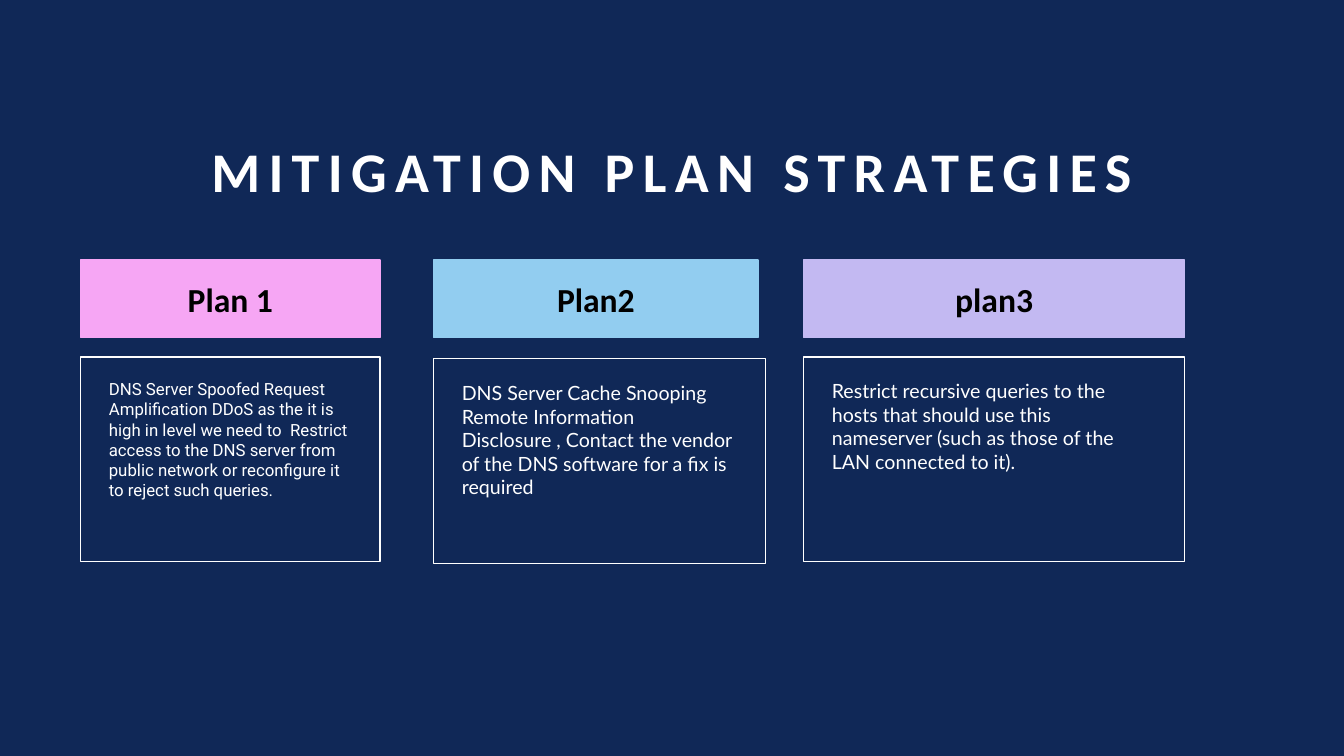
from dataclasses import dataclass

from pptx import Presentation
from pptx.dml.color import RGBColor
from pptx.enum import shapes, text
from pptx.shapes.autoshape import Shape
from pptx.slide import Slide
from pptx.text.text import TextFrame
from pptx.util import Inches, Pt

COLORS = {
    "navy": "102857",
    "white": "FFFFFF",
    "black": "000000",
    "pink": "F6A6F4",
    "blue": "92CDF0",
    "lilac": "C3B9F2",
}
HEADER_TOP, HEADER_HEIGHT = 2.58, 0.77
DETAIL_HEIGHT = 2.03


@dataclass(frozen=True)
class TextStyle:
    font: str
    size: float
    color: str
    bold: bool = False
    letter_spacing: float = 0


@dataclass(frozen=True)
class Plan:
    name: str
    detail: str
    color: str
    left: float
    header_width: float
    detail_width: float
    detail_top: float
    detail_style: TextStyle


TITLE_STYLE = TextStyle("Calibri", 40, "white", bold=True, letter_spacing=6)
HEADER_STYLE = TextStyle("Calibri", 24, "black", bold=True)
ROBOTO_STYLE = TextStyle("Roboto", 12, "white")
LATO_STYLE = TextStyle("Lato", 14, "white")

PLANS = [
    Plan("Plan 1",
         "DNS Server Spoofed Request Amplification DDoS as the it is high in level "
         "we need to  Restrict access to the DNS server from public network or "
         "reconfigure it to reject such queries.",
         "pink", 0.8, 2.97, 2.97, 3.54, ROBOTO_STYLE),
    Plan("Plan2",
         "DNS Server Cache Snooping Remote Information Disclosure , Contact the "
         "vendor of the DNS software for a fix is required",
         "blue", 4.3, 3.22, 3.29, 3.56, LATO_STYLE),
    Plan("plan3",
         "Restrict recursive queries to the hosts that should use this nameserver "
         "(such as those of the LAN connected to it).",
         "lilac", 7.97, 3.78, 3.78, 3.54, LATO_STYLE),
]


def rgb(name: str) -> RGBColor:
    return RGBColor.from_string(COLORS[name])


def write_text(frame: TextFrame, content: str, style: TextStyle,
               alignment: text.PP_ALIGN, anchor: text.MSO_ANCHOR) -> None:
    frame.word_wrap = True
    frame.vertical_anchor = anchor
    paragraph = frame.paragraphs[0]
    paragraph.alignment = alignment
    run = paragraph.add_run()
    run.text = content
    run.font.name = style.font
    run.font.size = Pt(style.size)
    run.font.bold = style.bold
    run.font.color.rgb = rgb(style.color)
    if style.letter_spacing:
        run.font._element.set("spc", str(int(style.letter_spacing * 100)))


def add_rectangle(slide: Slide, left: float, top: float, width: float,
                  height: float, line: str, fill: str | None = None) -> Shape:
    shape = slide.shapes.add_shape(
        shapes.MSO_SHAPE.RECTANGLE,
        Inches(left), Inches(top), Inches(width), Inches(height))
    shape.shadow.inherit = False
    if fill:
        shape.fill.solid()
        shape.fill.fore_color.rgb = rgb(fill)
    else:
        shape.fill.background()
    shape.line.color.rgb = rgb(line)
    shape.line.width = Pt(1)
    return shape


def add_title(slide: Slide, content: str) -> None:
    title = slide.shapes.add_textbox(
        Inches(1.81), Inches(0.91), Inches(9.71), Inches(1.17))
    write_text(title.text_frame, content, TITLE_STYLE,
               text.PP_ALIGN.CENTER, text.MSO_ANCHOR.BOTTOM)
    title.text_frame.paragraphs[0].line_spacing = 0.9


def add_plan(slide: Slide, plan: Plan) -> None:
    header = add_rectangle(slide, plan.left, HEADER_TOP, plan.header_width,
                           HEADER_HEIGHT, plan.color, plan.color)
    write_text(header.text_frame, plan.name, HEADER_STYLE,
               text.PP_ALIGN.CENTER, text.MSO_ANCHOR.MIDDLE)

    detail = add_rectangle(slide, plan.left, plan.detail_top, plan.detail_width,
                           DETAIL_HEIGHT, "white")
    frame = detail.text_frame
    frame.margin_left, frame.margin_top = Inches(0.28), Inches(0.22)
    frame.margin_right, frame.margin_bottom = Inches(0.3), Inches(0.05)
    write_text(frame, plan.detail, plan.detail_style,
               text.PP_ALIGN.LEFT, text.MSO_ANCHOR.TOP)


def main() -> None:
    presentation = Presentation()
    presentation.slide_width = Inches(13.33)
    presentation.slide_height = Inches(7.5)
    slide = presentation.slides.add_slide(presentation.slide_layouts[6])
    slide.background.fill.solid()
    slide.background.fill.fore_color.rgb = rgb("navy")

    add_title(slide, "MITIGATION PLAN STRATEGIES")
    for plan in PLANS:
        add_plan(slide, plan)
    presentation.save("out.pptx")


if __name__ == "__main__":
    main()
